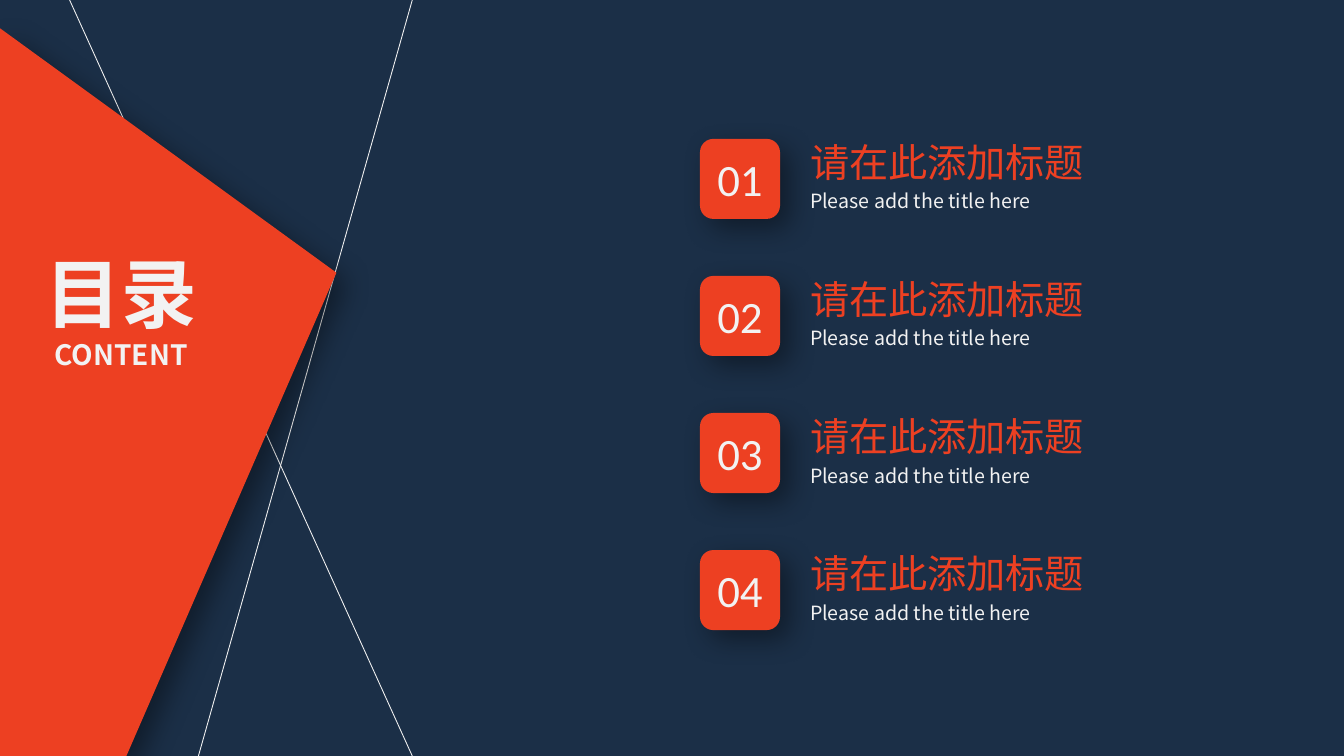
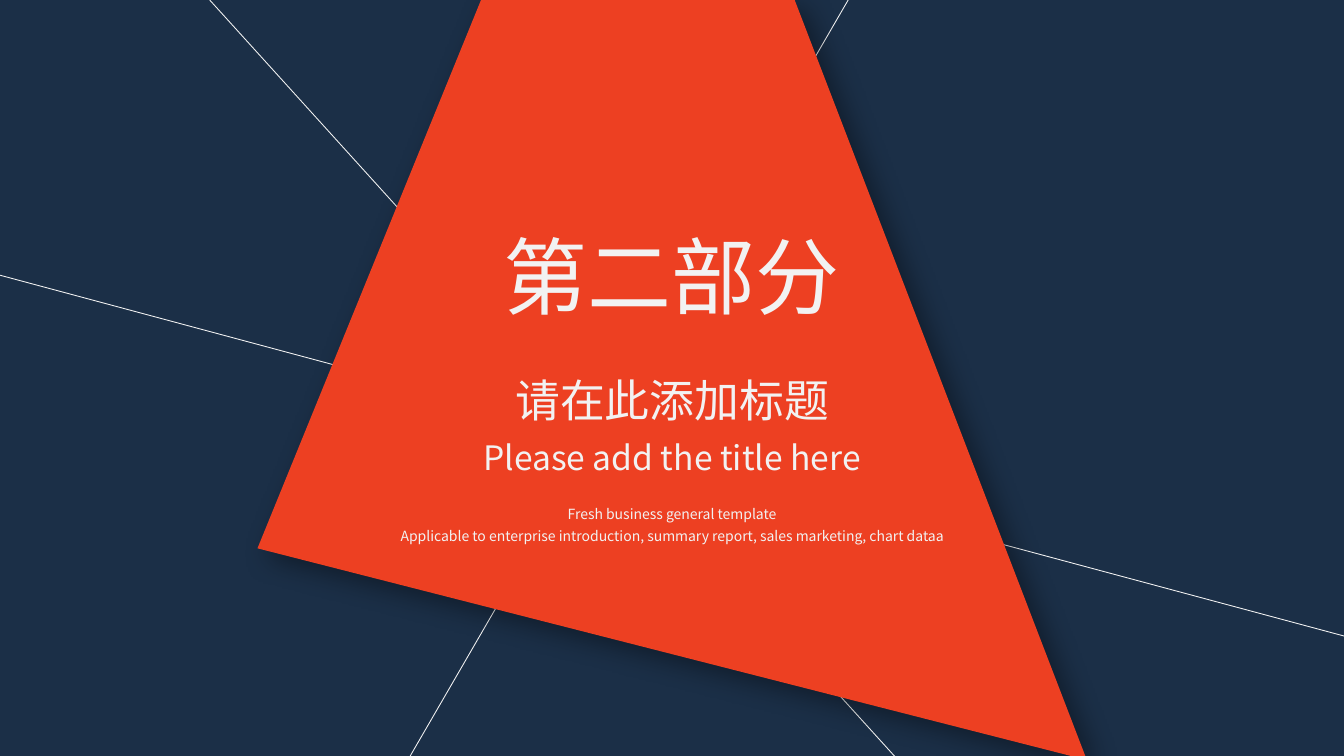
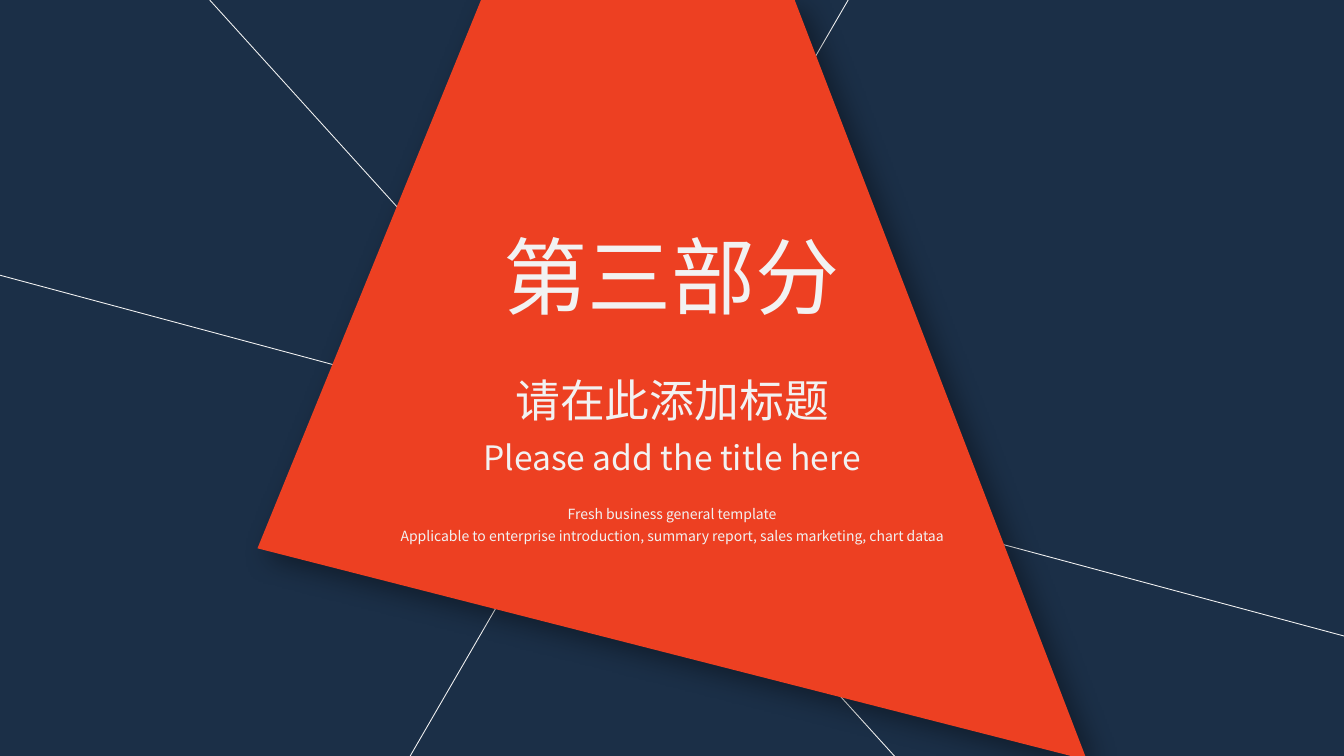
from dataclasses import dataclass
from typing import Optional

from lxml.etree import SubElement
from pptx import Presentation
from pptx.dml.color import RGBColor
from pptx.enum.shapes import MSO_CONNECTOR, MSO_SHAPE
from pptx.enum.text import MSO_ANCHOR, MSO_AUTO_SIZE, PP_ALIGN
from pptx.oxml.ns import qn
from pptx.util import Pt

NAVY, ORANGE, WHITE = "1B2F47", "ED4022", "F2F2F2"
CJK, LATIN = "Noto Sans CJK SC", "Calibri"
TITLE_ONLY, SECTION_HEADER = 5, 2
HEADING, HEADING_EN = "请在此添加标题", "Please add the title here"
ABOUT = (
    "Fresh business general template",
    "Applicable to enterprise introduction, summary report, sales marketing, chart dataa",
)


@dataclass(frozen=True)
class Box:
    x: float
    y: float
    w: float
    h: float


@dataclass(frozen=True)
class Style:
    size: float
    color: str = WHITE
    font: str = CJK
    bold: bool = False
    align: PP_ALIGN = PP_ALIGN.LEFT
    spacing: Optional[float] = None


@dataclass(frozen=True)
class Backdrop:
    lines: tuple
    outline: tuple


CONTENT_BACKDROP = Backdrop(
    lines=((294.5, 0, 139.7, 547.2), (294.5, 540, 43.2, -14.4)),
    outline=((90, 540.7), (0, 540.7), (0, 20.2), (240.3, 194.8)),
)
SECTION_BACKDROP = Backdrop(
    lines=(
        (614.2, -14.4, 293, 540),
        (641.5, 542.9, 149.8, 0),
        (0, 196.6, 960, 454.3),
    ),
    outline=((343.6, 0), (567.6, 0), (776.3, 542.9), (183.9, 391.7)),
)


def rgb(color: str) -> RGBColor:
    return RGBColor.from_string(color)


def place(sp, box: Box) -> None:
    for name, value in zip(("left", "top", "width", "height"), (box.x, box.y, box.w, box.h)):
        setattr(sp, name, Pt(value))


def write(sp, lines: tuple, styles: tuple, wrap: bool = True,
          anchor: MSO_ANCHOR = MSO_ANCHOR.TOP) -> None:
    tf = sp.text_frame
    frame = {"word_wrap": wrap, "vertical_anchor": anchor, "auto_size": MSO_AUTO_SIZE.NONE}
    for name, value in frame.items():
        setattr(tf, name, value)
    for i, (line, style) in enumerate(zip(lines, styles)):
        p = tf.paragraphs[0] if i == 0 else tf.add_paragraph()
        para = {"alignment": style.align, "line_spacing": style.spacing, "space_before": Pt(0)}
        for name, value in para.items():
            setattr(p, name, value)
        r = p.add_run()
        r.text = line
        font = {"size": Pt(style.size), "bold": style.bold, "name": style.font}
        for name, value in font.items():
            setattr(r.font, name, value)
        r.font.color.rgb = rgb(style.color)
        r_pr = r.font._element
        ea = SubElement(r_pr, qn("a:ea"), typeface=style.font)
        r_pr.find(qn("a:latin")).addnext(ea)


def add_text(s, box: Box, text: str, style: Style, wrap: bool = True) -> None:
    sp = s.shapes.add_textbox(*(Pt(v) for v in (box.x, box.y, box.w, box.h)))
    write(sp, (text,), (style,), wrap)


def fill_placeholder(sp, box: Box, lines: tuple, styles: tuple, wrap: bool = True) -> None:
    place(sp, box)
    write(sp, lines, styles, wrap)
    sp.element.getparent().append(sp.element)


def paint_raised(sp) -> None:
    sp.fill.solid()
    sp.fill.fore_color.rgb = rgb(ORANGE)
    sp.line.fill.background()
    sp.shadow.inherit = False
    effects = sp.element.spPr.find(qn("a:effectLst"))
    shadow = SubElement(effects, qn("a:outerShdw"), blurRad=str(Pt(20)), dist=str(Pt(10)),
                        dir=str(45 * 60000), algn="tl", rotWithShape="0")
    color = SubElement(shadow, qn("a:srgbClr"), val="000000")
    SubElement(color, qn("a:alpha"), val="40000")


def draw_backdrop(s, backdrop: Backdrop) -> None:
    for ends in backdrop.lines:
        line = s.shapes.add_connector(MSO_CONNECTOR.STRAIGHT, *(Pt(v) for v in ends))
        line.line.color.rgb = rgb(WHITE)
        line.line.width = Pt(0.63)
        SubElement(line.element.spPr, qn("a:effectLst"))
    points = [(Pt(x), Pt(y)) for x, y in backdrop.outline]
    outline = s.shapes.build_freeform(*points[0])
    outline.add_line_segments(points[1:], close=True)
    paint_raised(outline.convert_to_shape())


def add_entry(s, number: int, top: float) -> None:
    badge = s.shapes.add_shape(MSO_SHAPE.ROUNDED_RECTANGLE, Pt(500), Pt(top), Pt(57.2), Pt(57.2))
    paint_raised(badge)
    write(badge, (f"{number:02}",), (Style(32, font=LATIN, align=PP_ALIGN.CENTER),),
          wrap=False, anchor=MSO_ANCHOR.MIDDLE)
    add_text(s, Box(571.5, top + 32.5, 178.5, 24.5), HEADING_EN, Style(14), wrap=False)
    add_text(s, Box(571.5, top - 4.2, 228, 41), HEADING, Style(28, ORANGE))


def add_contents(prs) -> None:
    s = prs.slides.add_slide(prs.slide_layouts[TITLE_ONLY])
    draw_backdrop(s, CONTENT_BACKDROP)
    styles = tuple(Style(size, bold=True, align=PP_ALIGN.CENTER) for size in (54, 20))
    fill_placeholder(s.shapes.title, Box(17.5, 172.8, 138, 97.2), ("目录", "CONTENT"), styles)
    for i in range(4):
        add_entry(s, i + 1, 99.2 + 97.9 * i)


def add_section(prs, title: str) -> None:
    s = prs.slides.add_slide(prs.slide_layouts[SECTION_HEADER])
    draw_backdrop(s, SECTION_BACKDROP)
    center = PP_ALIGN.CENTER
    fill_placeholder(s.shapes.title, Box(351.5, 157, 257, 80), (title,),
                     (Style(60, align=center),), wrap=False)
    fill_placeholder(s.placeholders[1], Box(184, 354.2, 592, 39), ABOUT,
                     (Style(10, align=center, spacing=1.3),) * len(ABOUT))
    add_text(s, Box(332.5, 308.2, 295, 36), HEADING_EN, Style(24, align=center), wrap=False)
    add_text(s, Box(340.5, 262.8, 279.5, 46), HEADING, Style(32, align=center))


def main() -> None:
    prs = Presentation()
    prs.slide_width, prs.slide_height = Pt(960), Pt(540)
    background = prs.slide_master.background.fill
    background.solid()
    background.fore_color.rgb = rgb(NAVY)
    add_contents(prs)
    for title in ("第二部分", "第三部分"):
        add_section(prs, title)
    prs.save("out.pptx")


if __name__ == "__main__":
    main()
